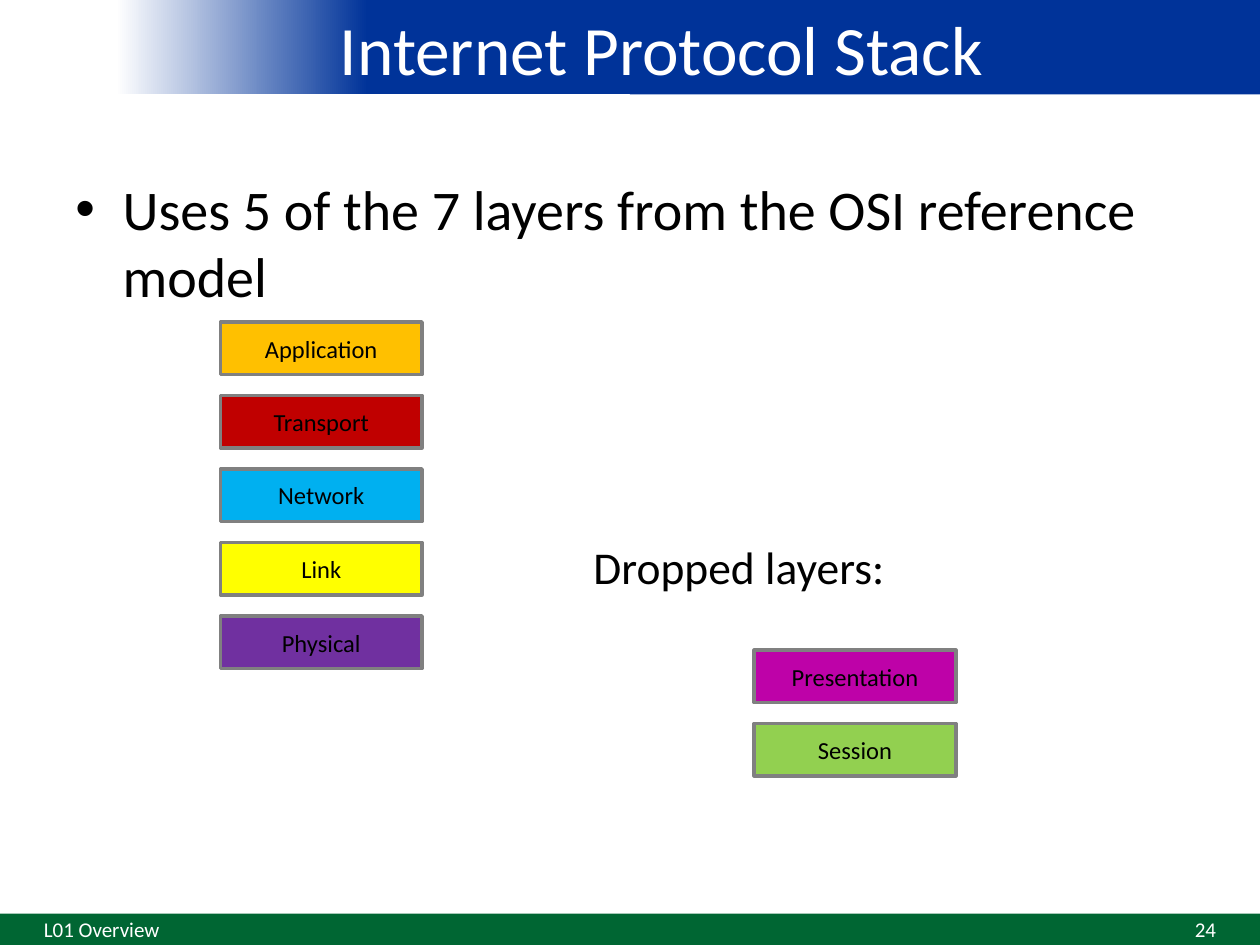
from lxml import etree
from pptx import Presentation
from pptx.dml.color import RGBColor
from pptx.enum import shapes, text
from pptx.oxml.ns import qn
from pptx.util import Pt

WHITE = RGBColor(0xFF, 0xFF, 0xFF)
BLACK = RGBColor(0, 0, 0)
GRAY = RGBColor(0x80, 0x80, 0x80)
BLUE = RGBColor(0x00, 0x33, 0x99)
GREEN = RGBColor(0x00, 0x66, 0x33)
ORANGE = RGBColor(0xFF, 0xC0, 0x00)
RED = RGBColor(0xC0, 0x00, 0x00)
SKY = RGBColor(0x00, 0xB0, 0xF0)
YELLOW = RGBColor(0xFF, 0xFF, 0x00)
PURPLE = RGBColor(0x70, 0x30, 0xA0)
MAGENTA = RGBColor(0xBE, 0x02, 0xA8)
LIME = RGBColor(0x92, 0xD0, 0x50)

LEFT, CENTER, RIGHT = (text.PP_ALIGN.LEFT, text.PP_ALIGN.CENTER,
                       text.PP_ALIGN.RIGHT)
TOP, MIDDLE = text.MSO_ANCHOR.TOP, text.MSO_ANCHOR.MIDDLE


class Deck:
    """Style and current slide; all lengths are in points."""
    font = "Calibri"
    layer_w, layer_h, layer_step = 115.2, 30, 42

    def __init__(self, prs):
        """Add a blank slide to the presentation."""
        self.s = prs.slides.add_slide(prs.slide_layouts[6])

    def set_text(self, sp, words, size, color, align, anchor):
        """Put one formatted paragraph in a shape and return it."""
        tf = sp.text_frame
        tf.word_wrap = True
        tf.vertical_anchor = anchor
        p = tf.paragraphs[0]
        p.text = words
        p.alignment = align
        f = p.runs[0].font
        f.name, f.size, f.color.rgb = self.font, Pt(size), color
        return p

    def rect(self, x, y, w, h, fill):
        """Add a plain rectangle without outline."""
        sp = self.s.shapes.add_shape(shapes.MSO_SHAPE.RECTANGLE,
                                     Pt(x), Pt(y), Pt(w), Pt(h))
        sp.shadow.inherit = False
        sp.fill.solid()
        sp.fill.fore_color.rgb = fill
        sp.line.fill.background()
        return sp

    def fade(self, x, y, w, h, stops):
        """Add a rectangle that fades from right to left."""
        fill = self.rect(x, y, w, h, WHITE).fill
        fill.gradient()
        fill.gradient_angle = 180
        for stop, (pos, color) in zip(fill.gradient_stops, stops):
            stop.position, stop.color.rgb = pos, color

    def label(self, x, y, w, h, words, size, color=BLACK, align=LEFT,
              anchor=TOP, hang=0, before=0, bullet=None):
        """Add a text box, with a hanging indent or bullet if given."""
        sp = self.s.shapes.add_textbox(Pt(x), Pt(y), Pt(w), Pt(h))
        p = self.set_text(sp, words, size, color, align, anchor)
        p.space_before = Pt(before)
        pPr = p._p.get_or_add_pPr()
        if hang:
            pPr.set("marL", str(Pt(hang)))
            pPr.set("indent", str(-Pt(hang)))
        if bullet:
            etree.SubElement(pPr, qn("a:buFont")).set("typeface", "Arial")
            etree.SubElement(pPr, qn("a:buChar")).set("char", bullet)

    def layers(self, x, y, items):
        """Stack outlined layer boxes downwards at equal steps."""
        for i, (name, fill) in enumerate(items):
            sp = self.rect(x, y + i * self.layer_step,
                           self.layer_w, self.layer_h, fill)
            sp.line.color.rgb = GRAY
            sp.line.width = Pt(2)
            self.set_text(sp, name, 14, BLACK, CENTER, MIDDLE)


prs = Presentation()
prs.slide_width, prs.slide_height = Pt(720), Pt(540)
d = Deck(prs)

d.rect(360, 0, 360, 54, BLUE)
d.fade(54, 0, 306, 54, [(0.49, BLUE), (0.96, WHITE)])
d.rect(0, 522, 720, 18, GREEN)

d.label(54, 0, 648, 54, "Internet Protocol Stack", 39.6, WHITE, CENTER, MIDDLE)
d.label(36, 96, 648, 96, "Uses 5 of the 7 layers from the OSI reference model",
        32, hang=27, before=6.4, bullet="•")

d.layers(126, 184, [("Application", ORANGE), ("Transport", RED),
                    ("Network", SKY), ("Link", YELLOW), ("Physical", PURPLE)])
d.label(332, 304.5, 301, 96, "Dropped layers:", 26, hang=21.6, before=6)
d.layers(431, 371.5, [("Presentation", MAGENTA), ("Session", LIME)])

d.label(18, 522, 168, 18, "L01 Overview", 12, WHITE, LEFT, MIDDLE)
d.label(534, 522, 168, 18, "24", 12, WHITE, RIGHT, MIDDLE)

prs.save("out.pptx")
